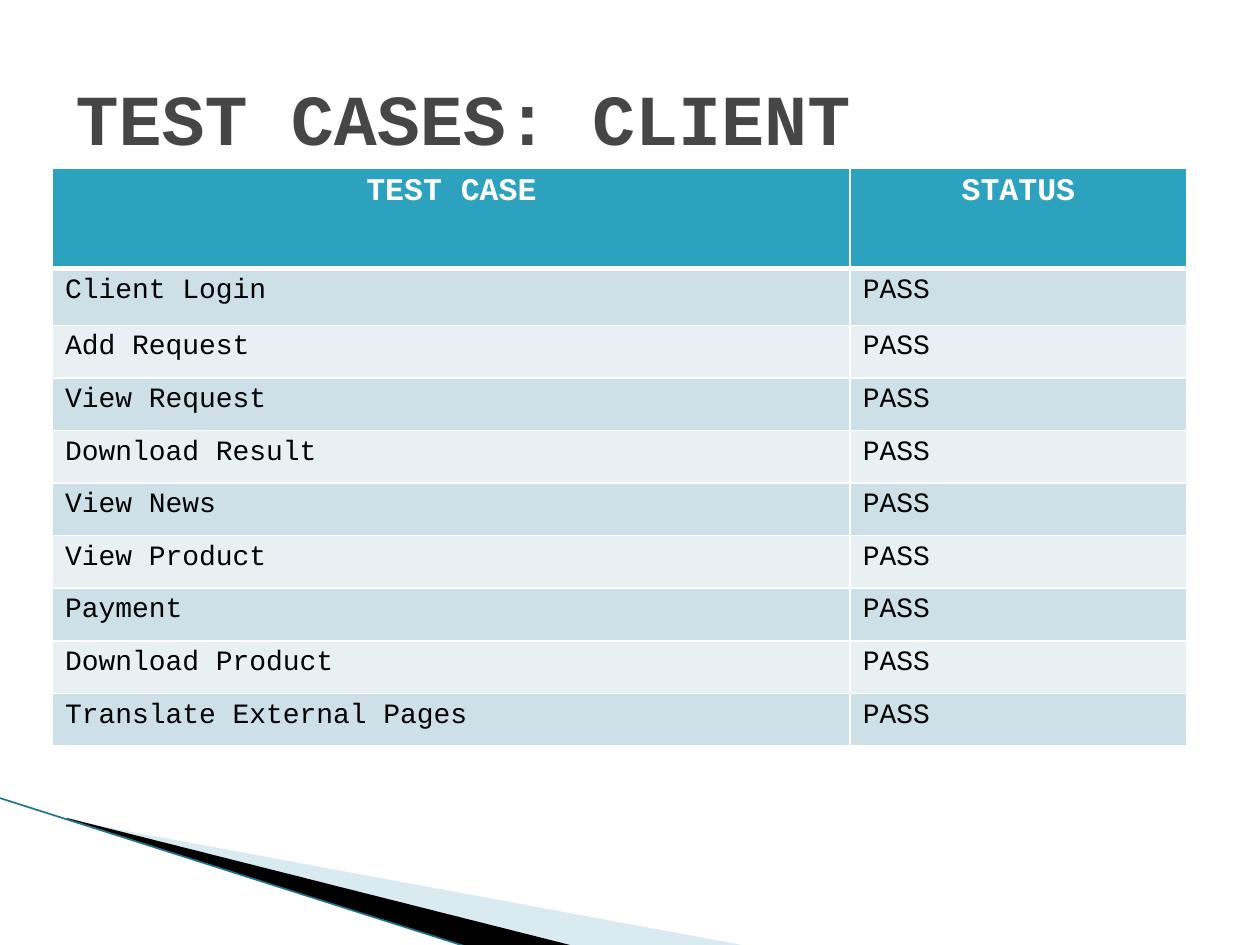
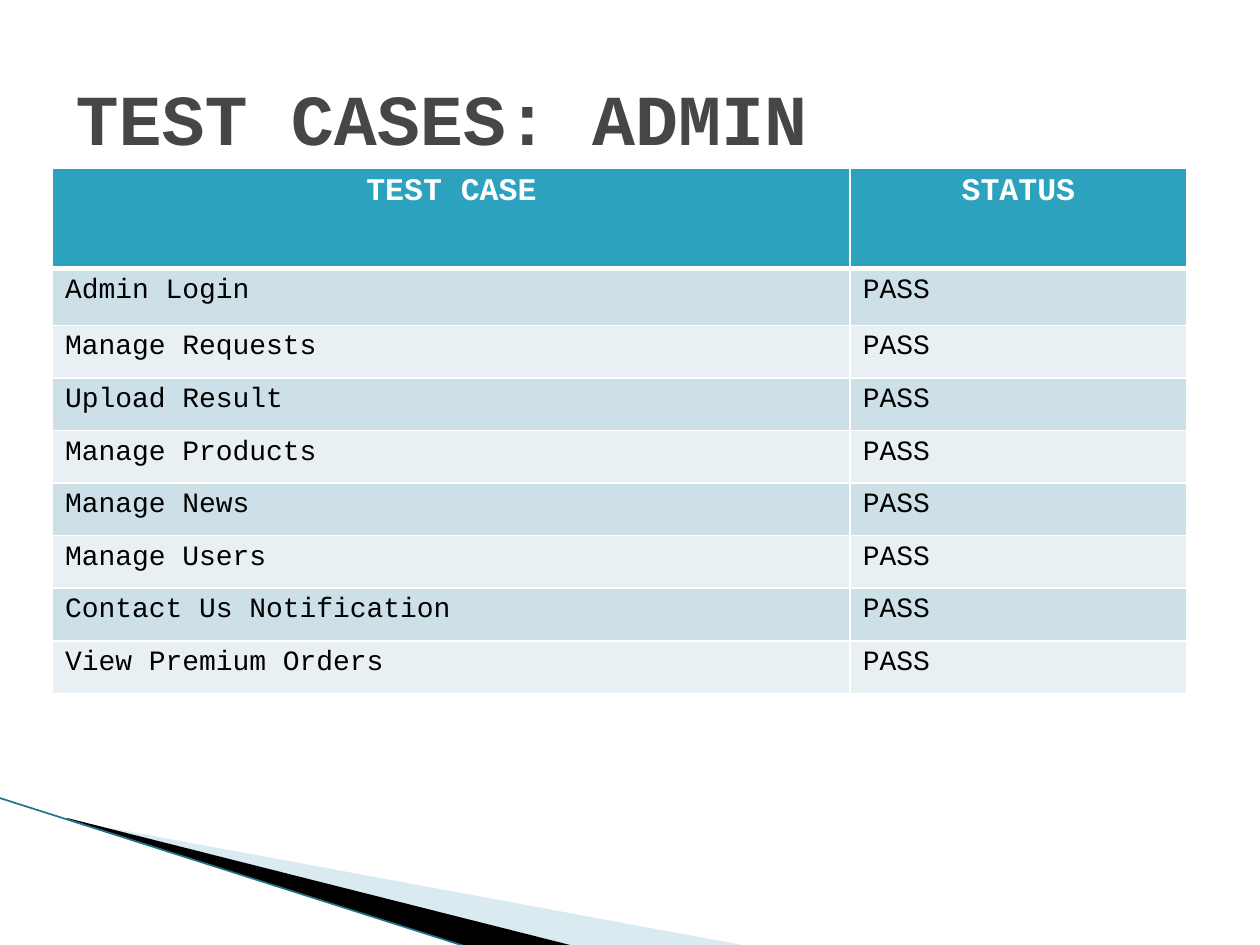
from dataclasses import dataclass

from lxml.etree import SubElement
from pptx import Presentation
from pptx.dml.color import RGBColor
from pptx.enum.shapes import MSO_CONNECTOR as Connector
from pptx.enum.text import MSO_ANCHOR as Anchor, MSO_AUTO_SIZE as AutoSize, PP_ALIGN as Align
from pptx.oxml.ns import qn
from pptx.util import Cm, Pt


@dataclass(frozen=True)
class Theme:
    font: str = "Courier New"
    title_size: int = 41
    head_size: int = 18
    body_size: int = 16
    title: str = "464646"
    head_text: str = "FFFFFF"
    body_text: str = "000000"
    head_fill: str = "2DA2BF"
    bands: tuple = ("CDE0E8", "E8F0F4")
    border: str = "FFFFFF"
    pale_wedge: str = "A0CBDC"
    dark_wedge: str = "000000"
    edge: str = "1F7488"


THEME = Theme()

# Boxes in cm: left, top, width, height
TITLE_BOX = (1.27, 0.76, 22.86, 3.18)
TABLE_BOX = (1.06, 3.39, 22.86)
CORNER_BOX = (0, 16.08)
STATUS_WIDTH = 6.78
HEAD_HEIGHT, FIRST_HEIGHT, ROW_HEIGHT = 2.03, 1.14, 1.06

# Wedge outlines and frames in cm, relative to the corner box
PALE_WEDGE = [(1.4, 0.46), (15.11, 3), (11.58, 3), (1.4, 0.43)]
PALE_FRAME = (1.98, -2.19, 10.57, 4.01)
DARK_WEDGE = [(1.35, 0.41), (11.61, 3), (9.45, 3.02), (1.37, 0.43)]
DARK_FRAME = (-0.15, 0, 10.57, 2.34)
EDGE_LINE = [(-0.03, 0), (9.45, 3.02)]

PASS = "PASS"
SLIDES = {
    "TEST CASES: CLIENT": [
        "Client Login", "Add Request", "View Request", "Download Result",
        "View News", "View Product", "Payment", "Download Product",
        "Translate External Pages",
    ],
    "TEST CASES: ADMIN": [
        "Admin Login", "Manage Requests", "Upload Result", "Manage Products",
        "Manage News", "Manage Users", "Contact Us Notification",
        "View Premium Orders",
    ],
}


def rgb(color):
    return RGBColor.from_string(color)


def set_attrs(obj, values):
    for name, value in values.items():
        setattr(obj, name, value)


def set_box(sp, box):
    set_attrs(sp, dict(zip(("left", "top", "width", "height"), map(Cm, box))))


def write(tf, text, size, color, bold=False, align=Align.LEFT):
    p = tf.paragraphs[0]
    p.alignment = align
    r = p.add_run()
    r.text = text
    set_attrs(r.font, {"name": THEME.font, "size": Pt(size), "bold": bold})
    r.font.color.rgb = rgb(color)


# Title
def add_title(s, box, text):
    sp = s.shapes.title
    set_box(sp, box)
    tf = sp.text_frame
    set_attrs(tf, {
        "word_wrap": True, "auto_size": AutoSize.NONE,
        "vertical_anchor": Anchor.MIDDLE,
    })
    write(tf, text, THEME.title_size, THEME.title, bold=True)


# Corner decoration
def set_frame(sp, frame):
    """Give the shape a new frame while its outline stays in place."""
    old_left, old_top = sp.left, sp.top
    set_box(sp, frame)
    outline = next(sp._element.iter(qn("a:path")))
    outline.set("w", str(sp.width))
    outline.set("h", str(sp.height))
    for pt in outline.iter(qn("a:pt")):
        pt.set("x", str(int(pt.get("x")) + old_left - sp.left))
        pt.set("y", str(int(pt.get("y")) + old_top - sp.top))


def add_wedge(s, points, frame, color, alpha=None):
    (x, y), *rest = points
    builder = s.shapes.build_freeform(Cm(x), Cm(y))
    builder.add_line_segments([(Cm(px), Cm(py)) for px, py in rest])
    sp = builder.convert_to_shape()
    set_frame(sp, frame)
    sp.shadow.inherit = False
    sp.fill.solid()
    sp.fill.fore_color.rgb = rgb(color)
    sp.line.fill.background()
    if alpha:
        fill_color = sp.fill._xPr.find(f"{qn('a:solidFill')}/{qn('a:srgbClr')}")
        SubElement(fill_color, qn("a:alpha"), val=str(alpha * 1000))


def add_corner(s, box):
    left, top = box

    def place(points):
        return [(left + x, top + y) for x, y in points]

    def place_frame(frame):
        x, y, width, height = frame
        return left + x, top + y, width, height

    add_wedge(s, place(PALE_WEDGE), place_frame(PALE_FRAME), THEME.pale_wedge, alpha=40)
    add_wedge(s, place(DARK_WEDGE), place_frame(DARK_FRAME), THEME.dark_wedge)
    start, end = place(EDGE_LINE)
    edge = s.shapes.add_connector(Connector.STRAIGHT, *map(Cm, start + end))
    edge.line.width = Pt(0.95)
    edge.line.color.rgb = rgb(THEME.edge)
    SubElement(edge._element.spPr, qn("a:effectLst"))


# Test case table
def set_borders(cell, top=1, bottom=1):
    tc_pr = cell._tc.get_or_add_tcPr()
    for side, width in {"L": 1, "R": 1, "T": top, "B": bottom}.items():
        ln = SubElement(tc_pr, qn(f"a:ln{side}"), w=str(Pt(width)))
        fill = SubElement(ln, qn("a:solidFill"))
        SubElement(fill, qn("a:srgbClr"), val=THEME.border)


def add_case_table(s, box, cases):
    left, top, width = box
    rows = [("TEST CASE", "STATUS")] + [(case, PASS) for case in cases]
    heights = [HEAD_HEIGHT, FIRST_HEIGHT] + [ROW_HEIGHT] * (len(cases) - 1)
    frame = s.shapes.add_table(len(rows), 2, Cm(left), Cm(top),
                               Cm(width), Cm(sum(heights)))
    table = frame.table
    for column, size in zip(table.columns, (width - STATUS_WIDTH, STATUS_WIDTH)):
        column.width = Cm(size)

    head_style = {"size": THEME.head_size, "color": THEME.head_text,
                  "bold": True, "align": Align.CENTER}
    body_style = {"size": THEME.body_size, "color": THEME.body_text}
    for i, (texts, height) in enumerate(zip(rows, heights)):
        is_head = i == 0
        table.rows[i].height = Cm(height)
        fill = THEME.head_fill if is_head else THEME.bands[(i - 1) % 2]
        for cell, text in zip(table.rows[i].cells, texts):
            set_borders(cell, top=3 if i == 1 else 1, bottom=3 if is_head else 1)
            cell.fill.solid()
            cell.fill.fore_color.rgb = rgb(fill)
            write(cell.text_frame, text, **(head_style if is_head else body_style))


def add_case_slide(prs, title, cases):
    s = prs.slides.add_slide(prs.slide_layouts.get_by_name("Title Only"))
    add_corner(s, CORNER_BOX)
    add_title(s, TITLE_BOX, title)
    add_case_table(s, TABLE_BOX, cases)


def main():
    prs = Presentation()
    set_attrs(prs, {"slide_width": Cm(25.4), "slide_height": Cm(19.05)})
    for title, cases in SLIDES.items():
        add_case_slide(prs, title, cases)
    prs.save("out.pptx")


if __name__ == "__main__":
    main()
